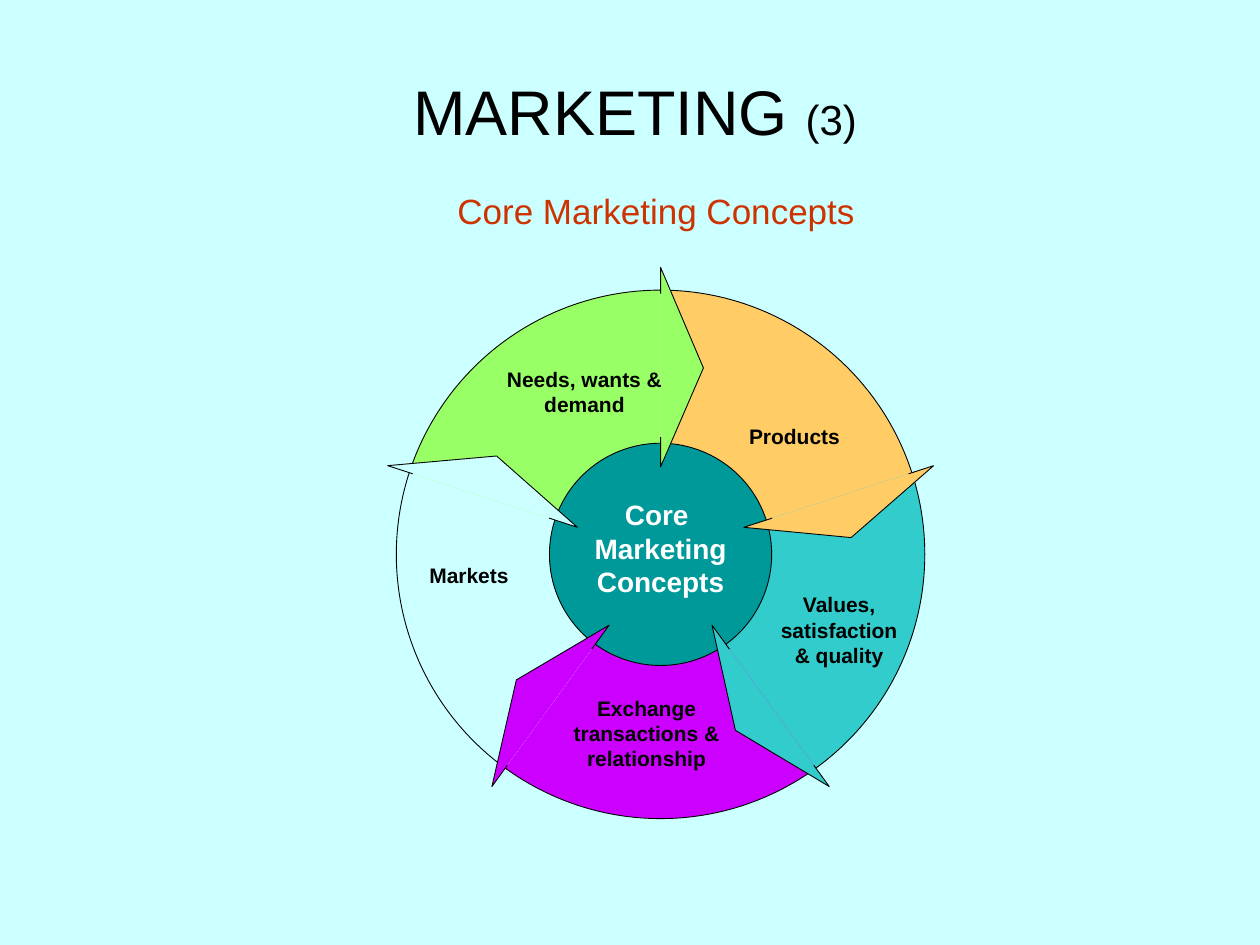
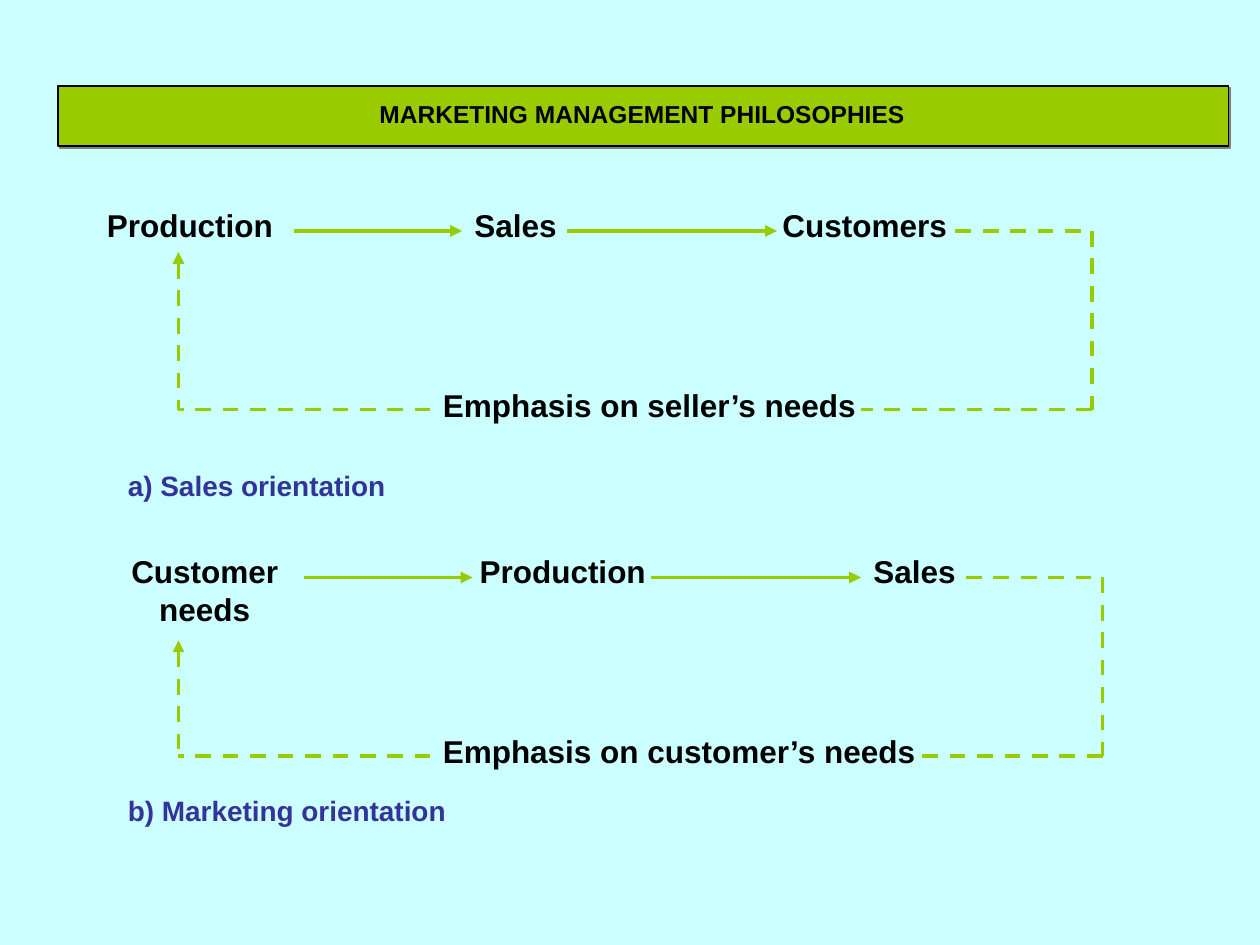
from math import cos, radians, sin

from lxml import etree
from pptx import Presentation
from pptx.dml.color import RGBColor
from pptx.enum.dml import MSO_LINE
from pptx.enum.shapes import MSO_CONNECTOR, MSO_SHAPE
from pptx.enum.text import MSO_ANCHOR, PP_ALIGN
from pptx.oxml.ns import qn
from pptx.util import Pt

LEFT, CENTER = PP_ALIGN.LEFT, PP_ALIGN.CENTER
TOP, MIDDLE = MSO_ANCHOR.TOP, MSO_ANCHOR.MIDDLE
PIE, OVAL, RECT = MSO_SHAPE.PIE, MSO_SHAPE.OVAL, MSO_SHAPE.RECTANGLE
STRAIGHT, DASH = MSO_CONNECTOR.STRAIGHT, MSO_LINE.DASH

FONT = "Arial"
BACKGROUND, BLACK, WHITE = "CCFFFF", "000000", "FFFFFF"
LIME, TEAL, RED, NAVY, GRAY = "99CC00", "009999", "CC3300", "333399", "808080"
SECTOR_ANGLE = 72
ARROW_OUTLINE = [(149, 0), (164, 0), (106.5, 24.5), (50, 0), (67, 0)]


def rgb(value):
    """Turn a hex string into a colour."""
    return RGBColor.from_string(value)


def new_slide(prs):
    """Add a blank slide with the shared background."""
    slide = prs.slides.add_slide(prs.slide_layouts[6])
    slide.background.fill.solid()
    slide.background.fill.fore_color.rgb = rgb(BACKGROUND)
    return slide


def add_run(p, content, size, color, bold):
    """Append a formatted run to a paragraph."""
    r = p.add_run()
    r.text = content
    r.font.name, r.font.size, r.font.bold = FONT, Pt(size), bold
    r.font.color.rgb = rgb(color)


def add_text(slide, content, box, size=18, color=BLACK, bold=True, align=LEFT,
             anchor=TOP, inset=(7.2, 3.6), spacing=1.0):
    """Add a text box with one paragraph per line and return its text frame."""
    tf = slide.shapes.add_textbox(*map(Pt, box)).text_frame
    tf.word_wrap, tf.vertical_anchor = True, anchor
    tf.margin_left = tf.margin_right = Pt(inset[0])
    tf.margin_top = tf.margin_bottom = Pt(inset[1])
    for i, line in enumerate(content.split("\n")):
        p = tf.add_paragraph() if i else tf.paragraphs[0]
        p.alignment, p.line_spacing = align, spacing
        add_run(p, line, size, color, bold)
    return tf


def style(sp, fill=None, line=None, width=0.5):
    """Set the fill and outline of a shape and remove its shadow."""
    sp.shadow.inherit = False
    for target, color in ((sp.fill, fill), (sp.line.fill, line)):
        if color:
            target.solid()
            target.fore_color.rgb = rgb(color)
        else:
            target.background()
    if line:
        sp.line.width = Pt(width)
    return sp


def add_preset(slide, kind, box, **look):
    """Add a styled preset shape."""
    return style(slide.shapes.add_shape(kind, *map(Pt, box)), **look)


def add_line(slide, start, end, dash=False, head=None):
    """Add a lime line, optionally dashed, with an arrowhead at one end."""
    line = slide.shapes.add_connector(STRAIGHT, *map(Pt, (*start, *end)))
    line.line.color.rgb = rgb(LIME)
    line.line.width = Pt(2.25)
    if dash:
        line.line.dash_style = DASH
    spPr = line._element.spPr
    if head:
        etree.SubElement(spPr.find(qn("a:ln")), qn(f"a:{head}"), type="triangle")
    etree.SubElement(spPr, qn("a:effectLst"))


def circle_box(cx, cy, radius):
    """Return the box around a circle."""
    return cx - radius, cy - radius, 2 * radius, 2 * radius


def add_sector_arrow(slide, cx, cy, angle, color):
    """Add the arrowhead that ends a sector at a clockwise angle from the top."""
    s, c = sin(radians(angle)), cos(radians(angle))
    points = [(Pt(cx + out * s + side * c), Pt(cy - out * c + side * s))
              for out, side in ARROW_OUTLINE]
    builder = slide.shapes.build_freeform(*points[0])
    builder.add_line_segments(points[1:], close=False)
    style(builder.convert_to_shape(), fill=color, line=BLACK)


def add_wheel(slide, cx, cy, radius, hub_radius, hub_text, sectors):
    """Draw a wheel of arrow sectors around a labelled hub."""
    rim = circle_box(cx, cy, radius)
    for i, (_, color, _) in enumerate(sectors):
        pie = add_preset(slide, PIE, rim, fill=color)
        for j in range(2):
            degrees = ((i + j) * SECTOR_ANGLE - 90) % 360
            pie.adjustments[j] = degrees * 0.6
    add_preset(slide, OVAL, rim, line=BLACK)
    add_preset(slide, OVAL, circle_box(cx, cy, hub_radius), fill=TEAL, line=BLACK)
    for i, (_, color, _) in enumerate(sectors):
        add_sector_arrow(slide, cx, cy, (i + 1) * SECTOR_ANGLE, color)
    label = dict(align=CENTER, anchor=MIDDLE, inset=(0, 0))
    add_text(slide, hub_text, (cx - 50, cy - 32.5, 100, 58), size=16, color=WHITE, **label)
    for content, _, (dx, dy, w, h) in sectors:
        add_text(slide, content, (cx + dx, cy + dy, w, h), size=12, **label)


def add_loop(slide, box, steps, arrows, emphasis, gap, rise, caption, caption_drop):
    """Draw a row of steps with a dashed return path, relative to its box."""
    x, y, w, h = box
    right, bottom = x + w, y + h
    for content, dx, width, align in steps:
        add_text(slide, content, (x + dx, y - 18, width, 29), align=align)
    for start, end in arrows:
        add_line(slide, (x + start, y), (x + end, y), head="tailEnd")
    gap_left, gap_right, exit_x = (x + dx for dx in gap)
    add_line(slide, (exit_x, y), (right, y), dash=True)
    add_line(slide, (right, y), (right, bottom), dash=True)
    add_line(slide, (right, bottom), (gap_right, bottom), dash=True)
    add_line(slide, (gap_left, bottom), (x, bottom), dash=True)
    add_line(slide, (x, y + rise), (x, bottom), dash=True, head="headEnd")
    add_text(slide, emphasis, (gap_left, bottom - 17, gap_right - gap_left + 18, 29))
    add_text(slide, caption, (x - 36, bottom + caption_drop, 198, 27), size=16, color=NAVY)


def add_banner(slide, content, box):
    """Draw a title band with a hard shadow."""
    x, y, w, h = box
    band = add_preset(slide, RECT, box, fill=LIME, line=BLACK, width=1)
    effects = band._element.spPr.find(qn("a:effectLst"))
    shadow = etree.SubElement(effects, qn("a:outerShdw"), dist=str(Pt(1.4)),
                              dir="2700000", algn="ctr", rotWithShape="0")
    etree.SubElement(shadow, qn("a:srgbClr"), val=GRAY)
    add_text(slide, content, (x + 17, y + 6, w - 35, h - 12), size=14,
             align=CENTER, anchor=MIDDLE, spacing=0.9)


def concepts_slide(prs):
    """Build the slide with the wheel of core concepts."""
    slide = new_slide(prs)
    sectors = [
        ("Products", "FFCC66", (41, -75, 71, 14.5)),
        ("Values, satisfaction & quality", "33CCCC", (64, 21.5, 76, 43)),
        ("Exchange transactions & relationship", "CC00FF", (-53.5, 80.5, 91, 43)),
        ("Markets", BACKGROUND, (-145, 4.5, 71, 14.5)),
        ("Needs, wants & demand", "99FF66", (-88.5, -107.5, 90, 29)),
    ]
    add_wheel(slide, 377.5, 316.8, 151, 63.5, "Core \nMarketing\nConcepts", sectors)
    add_text(slide, "Core Marketing Concepts", (228, 104.5, 294, 32), size=20,
             color=RED, bold=False, align=CENTER)
    tf = add_text(slide, "MARKETING ", (198, 30, 330, 66), size=36, bold=False,
                  align=CENTER, anchor=MIDDLE)
    add_run(tf.paragraphs[0], "(3)", 24, BLACK, False)


def philosophies_slide(prs):
    """Build the slide that compares the two orientations."""
    slide = new_slide(prs)
    add_loop(slide, (102, 132, 522, 102),
             steps=[("Production", -48, 114, LEFT), ("Sales", 162, 66, LEFT),
                    ("Customers", 338, 120, LEFT)],
             arrows=[(66, 162), (222, 342)],
             emphasis="Emphasis on seller’s needs", gap=(144, 390, 444), rise=12,
             caption="a) Sales orientation", caption_drop=30)
    add_loop(slide, (102, 330, 528, 102),
             steps=[("Customer needs", -42, 114, CENTER), ("Production", 165, 126, LEFT),
                    ("Sales", 390, 72, LEFT)],
             arrows=[(72, 168), (270, 390)],
             emphasis="Emphasis on customer’s needs", gap=(144, 420, 450), rise=36,
             caption="b) Marketing orientation", caption_drop=18)
    add_banner(slide, "MARKETING MANAGEMENT PHILOSOPHIES", (33, 49, 669, 34.5))


def main():
    """Build and save the presentation."""
    prs = Presentation()
    prs.slide_width, prs.slide_height = Pt(720), Pt(540)
    concepts_slide(prs)
    philosophies_slide(prs)
    prs.save("out.pptx")


if __name__ == "__main__":
    main()
